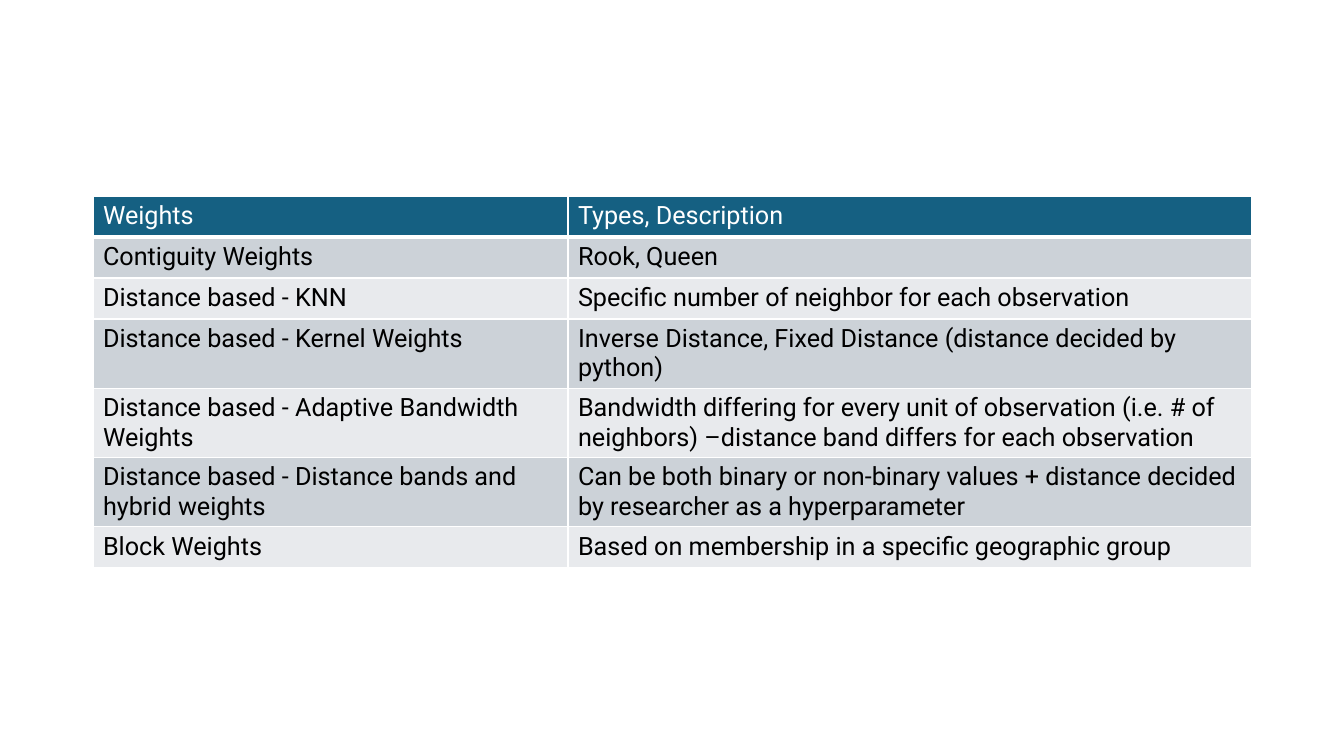
from dataclasses import dataclass

from lxml.etree import SubElement
from pptx import Presentation
from pptx.dml.color import RGBColor
from pptx.oxml.ns import qn
from pptx.util import Emu, Pt


@dataclass(frozen=True)
class Theme:
    font: str = "Roboto"
    text_size: int = 18
    header_fill: str = "156082"
    header_text: str = "FFFFFF"
    body_text: str = "000000"
    odd_fill: str = "CCD2D8"
    even_fill: str = "E8EAED"
    border: str = "FFFFFF"
    border_width: int = 1
    header_rule_width: int = 3


@dataclass(frozen=True)
class WeightRow:
    name: str
    description: str
    lines: int = 1


THEME = Theme()
PX_PER_INCH = 100.8
SLIDE_WIDTH, SLIDE_HEIGHT = 1344, 756
TABLE_LEFT, TABLE_TOP = 93, 196
COLUMN_WIDTHS = (475, 684)
ROW_HEIGHTS = {1: 41, 2: 69}

ROWS = (
    WeightRow("Weights", "Types, Description"),
    WeightRow("Contiguity Weights", "Rook, Queen"),
    WeightRow("Distance based - KNN", "Specific number of neighbor for each observation"),
    WeightRow(
        "Distance based - Kernel Weights",
        "Inverse Distance, Fixed Distance (distance decided by python)",
        lines=2,
    ),
    WeightRow(
        "Distance based - Adaptive Bandwidth Weights",
        "Bandwidth differing for every unit of observation (i.e. # of neighbors) "
        "–distance band differs for each observation",
        lines=2,
    ),
    WeightRow(
        "Distance based - Distance bands and hybrid weights",
        "Can be both binary or non-binary values + distance decided by researcher "
        "as a hyperparameter",
        lines=2,
    ),
    WeightRow("Block Weights", "Based on membership in a specific geographic group"),
)


def px(length: int) -> Emu:
    return Emu(round(length * 914400 / PX_PER_INCH))


def add_borders(cell, bottom_width: int) -> None:
    properties = cell._tc.get_or_add_tcPr()
    for side in "LRTB":
        width = bottom_width if side == "B" else THEME.border_width
        line = SubElement(properties, qn(f"a:ln{side}"), w=str(Pt(width)))
        fill = SubElement(line, qn("a:solidFill"))
        SubElement(fill, qn("a:srgbClr"), val=THEME.border)


def fill_cell(cell, text: str, row_index: int) -> None:
    is_header = row_index == 0
    if is_header:
        fill_color = THEME.header_fill
    else:
        fill_color = THEME.odd_fill if row_index % 2 else THEME.even_fill

    add_borders(cell, THEME.header_rule_width if is_header else THEME.border_width)
    cell.fill.solid()
    cell.fill.fore_color.rgb = RGBColor.from_string(fill_color)

    cell.text_frame.text = text
    font = cell.text_frame.paragraphs[0].runs[0].font
    font.name = THEME.font
    font.size = Pt(THEME.text_size)
    font.bold = False
    text_color = THEME.header_text if is_header else THEME.body_text
    font.color.rgb = RGBColor.from_string(text_color)


def add_weights_table(page) -> None:
    heights = [ROW_HEIGHTS[row.lines] for row in ROWS]
    table = page.shapes.add_table(
        len(ROWS), len(COLUMN_WIDTHS),
        px(TABLE_LEFT), px(TABLE_TOP), px(sum(COLUMN_WIDTHS)), px(sum(heights)),
    ).table
    for column, width in zip(table.columns, COLUMN_WIDTHS):
        column.width = px(width)
    for row_index, (row, height) in enumerate(zip(ROWS, heights)):
        table.rows[row_index].height = px(height)
        for column_index, text in enumerate((row.name, row.description)):
            fill_cell(table.cell(row_index, column_index), text, row_index)


def main() -> None:
    deck = Presentation()
    deck.slide_width, deck.slide_height = px(SLIDE_WIDTH), px(SLIDE_HEIGHT)
    page = deck.slides.add_slide(deck.slide_layouts.get_by_name("Blank"))
    add_weights_table(page)
    deck.save("out.pptx")


if __name__ == "__main__":
    main()
